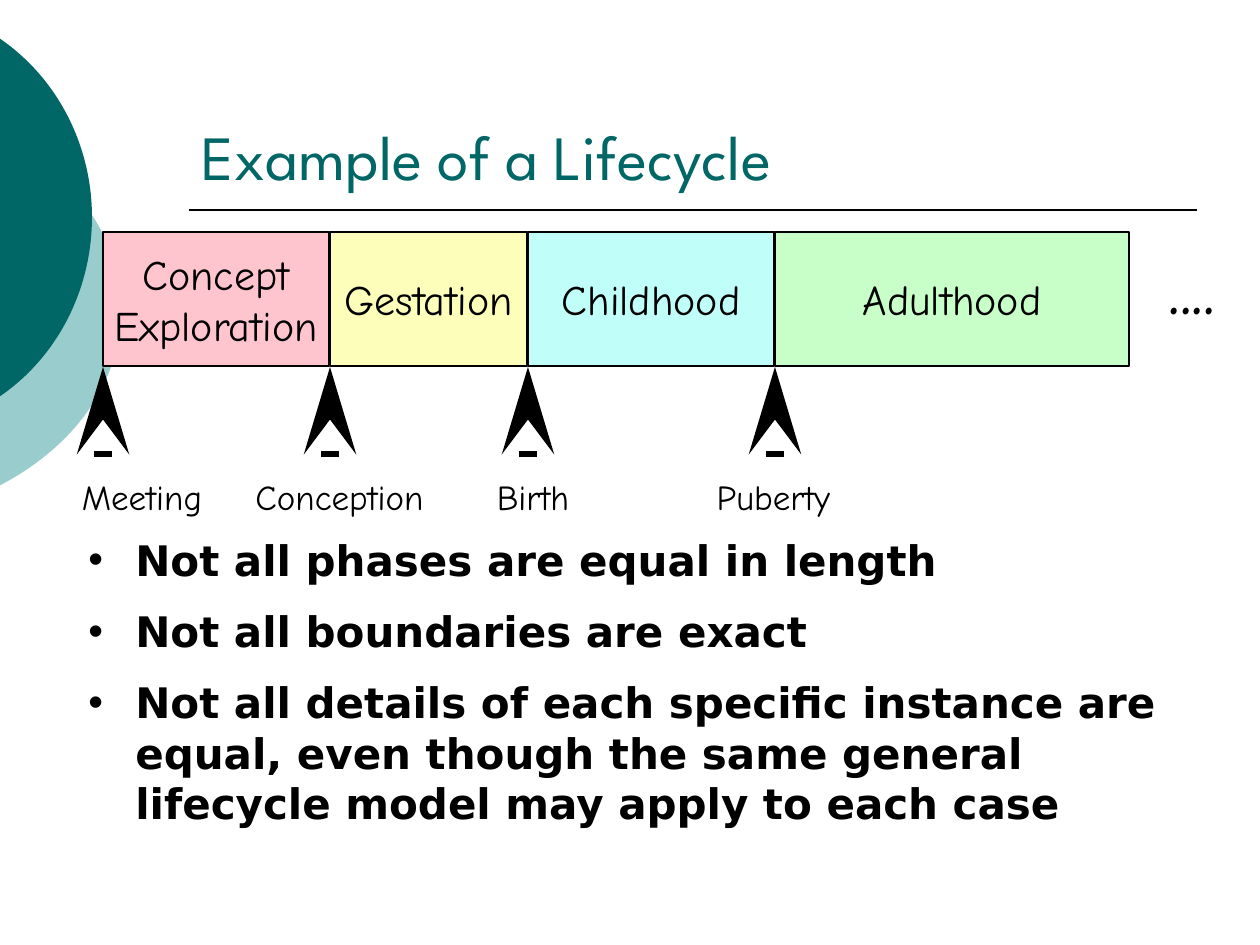
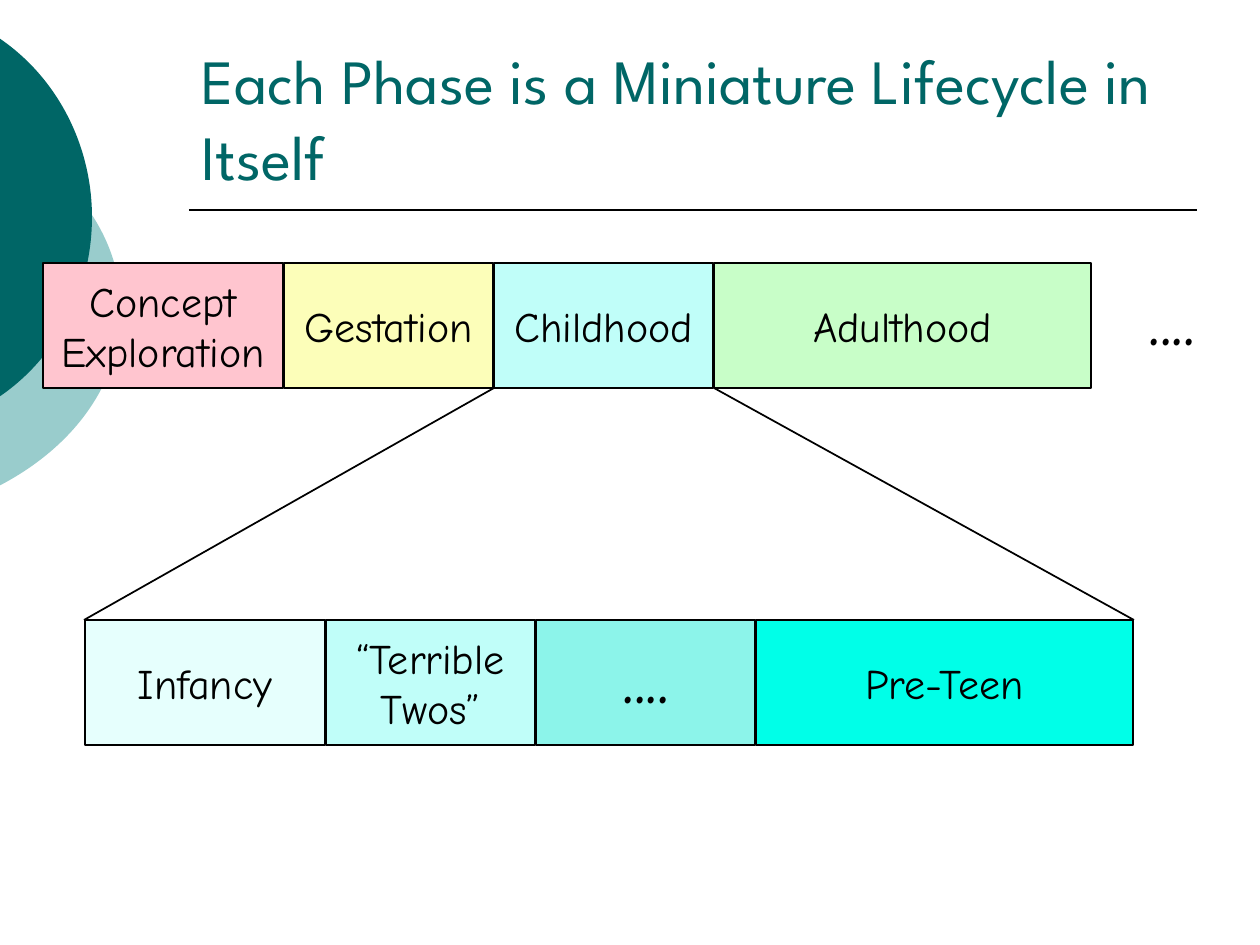
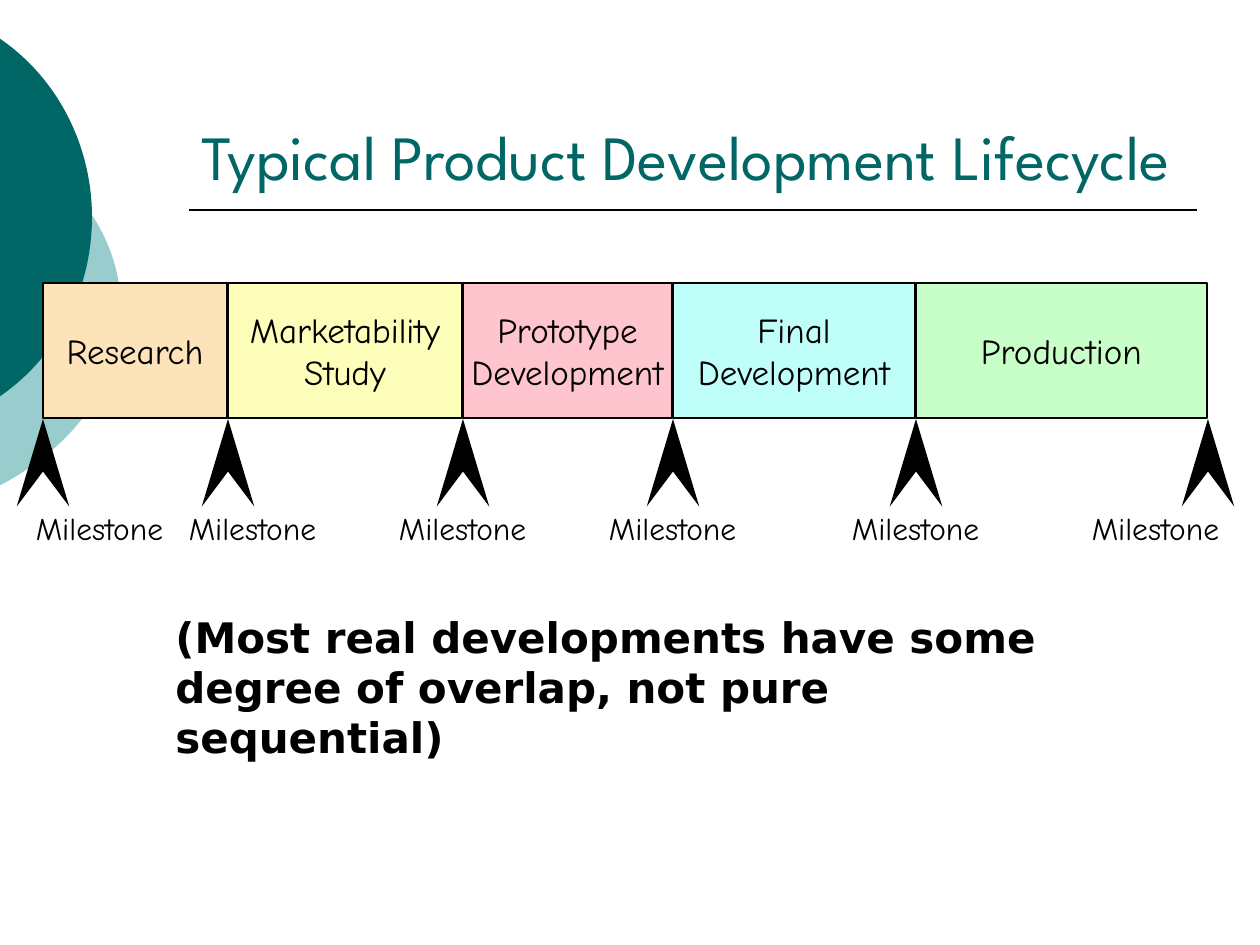
from lxml.etree import SubElement as Sub
from pptx import Presentation
from pptx.dml.color import RGBColor
from pptx.enum.shapes import MSO_CONNECTOR as Wire, MSO_SHAPE as Form
from pptx.enum.text import MSO_ANCHOR as Anchor, PP_ALIGN as Align
from pptx.oxml.ns import qn
from pptx.util import Pt

PX = 7257
BLACK, TEAL, MIST = "000000", "006666", "99CCCC"
PINK, CREAM, AQUA, MINT, PEACH = "FFC5CF", "FCFEB9", "C0FEF9", "C8FEC8", "FDE3BA"
HAND, HEAD, BODY = "Comic Neue", "League Spartan", "DejaVu Sans"
hue = RGBColor.from_string


def write(page, spot, text, size=24, face=HAND, color=BLACK, bold=False,
          align=Align.CENTER, anchor=Anchor.TOP, fill=None, bullet=None):
    place = [n * PX for n in spot]
    if fill:
        box = page.shapes.add_shape(Form.RECTANGLE, *place)
        box.shadow.inherit = False
        box.fill.solid()
        box.fill.fore_color.rgb = hue(fill)
        box.line.color.rgb = hue(BLACK)
        box.line.width = Pt(1)
    else:
        box = page.shapes.add_textbox(*place)
    if not text:
        return
    frame = box.text_frame
    frame.word_wrap = not fill
    frame.vertical_anchor = anchor
    for i, part in enumerate(text.split("\n")):
        para = frame.paragraphs[0] if i == 0 else frame.add_paragraph()
        para.alignment = align
        if bullet:
            props = para._p.get_or_add_pPr()
            props.set("marL", str(47 * PX))
            props.set("indent", str(-47 * PX))
            Sub(props, qn("a:buFont"), typeface="Arial")
            Sub(props, qn("a:buChar"), char=bullet)
            if i:
                para.space_before = Pt(12)
        run = para.add_run()
        run.text = part
        font = run.font
        font.name, font.size, font.bold = face, Pt(size), bold
        font.color.rgb = hue(color)


def link(page, ends, width=1, tip=None):
    wire = page.shapes.add_connector(Wire.STRAIGHT, *[n * PX for n in ends])
    wire.line.color.rgb = hue(BLACK)
    wire.line.width = Pt(width)
    if tip:
        Sub(wire.line._get_or_add_ln(), qn("a:tailEnd"), type=tip, w="med", len="lg")
    Sub(wire._element.spPr, qn("a:effectLst"))


deck = Presentation()
deck.slide_width, deck.slide_height = 1260 * PX, 945 * PX

titles = [
    "Example of a Lifecycle",
    "Each Phase is a Miniature Lifecycle in Itself",
    "Typical Product Development Lifecycle",
]
discs = [
    (MIST, (-446, 95, 567, 431),
     [(-1, 134), (76, 174), (121, 239), (121, 310), (121, 381), (76, 446), (-1, 486)]),
    (TEAL, (-334, 0, 426, 435),
     [(-1, 38), (58, 78), (92, 146), (92, 217), (92, 289), (58, 357), (-1, 397)]),
]
pages = []
for title in titles:
    page = deck.slides.add_slide(deck.slide_layouts[6])
    pages.append(page)
    for color, (left, top, wide, high), dots in discs:
        pen = page.shapes.build_freeform(*dots[0], scale=PX)
        pen.add_line_segments(dots[1:], close=True)
        disc = pen.convert_to_shape()
        disc.left, disc.top = left * PX, top * PX
        disc.width, disc.height = wide * PX, high * PX
        track = disc._element.find(".//" + qn("a:path"))
        for old in list(track):
            track.remove(old)
        track.set("w", str(wide))
        track.set("h", str(high))
        for kind, part in [("moveTo", dots[:1]), ("cubicBezTo", dots[1:4]),
                           ("cubicBezTo", dots[4:]), ("close", [])]:
            step = Sub(track, qn("a:" + kind))
            for x, y in part:
                Sub(step, qn("a:pt"), x=str(x - left), y=str(y - top))
        disc.shadow.inherit = False
        disc.fill.solid()
        disc.fill.fore_color.rgb = hue(color)
        disc.line.fill.background()
    link(page, (189, 210, 1197, 210))
    write(page, (189, 42, 1008, 157), title, size=36, face=HEAD, color=TEAL,
          align=Align.LEFT, anchor=Anchor.BOTTOM)

life, mini, work = pages
phases = [("Concept\nExploration", PINK), ("Gestation", CREAM),
          ("Childhood", AQUA), ("Adulthood", MINT)]
years = [("Infancy", "E6FFFD"), ("“Terrible\nTwos”", AQUA),
         ("", "8CF4EA"), ("Pre-Teen", "00FFE8")]
steps = [("Research", PEACH), ("Marketability\nStudy", CREAM),
         ("Prototype\nDevelopment", PINK), ("Final\nDevelopment", AQUA),
         ("Production", MINT)]
ages = [103, 330, 528, 775, 1130]
spans = [43, 284, 494, 714, 1092]
stages = [43, 228, 463, 673, 916, 1208]
rows = [
    (life, phases, ages, 232, 134, 24),
    (mini, phases, spans, 263, 125, 24),
    (mini, years, [x + 42 for x in spans], 620, 125, 24),
    (work, steps, stages, 283, 135, 20),
]
for page, names, edges, top, high, size in rows:
    for (name, fill), left, right in zip(names, edges, edges[1:]):
        write(page, (left, top, right - left - 1, high), name, size=size,
              anchor=Anchor.MIDDLE, fill=fill)

for page, spot, align in [
    (life, (1120, 231, 108, 113), Align.RIGHT),
    (mini, (1092, 262, 116, 105), Align.RIGHT),
    (mini, (536, 620, 220, 105), Align.CENTER),
]:
    write(page, spot, "....", size=44, align=align)

for start, end in [(494, 84), (714, 1134)]:
    link(mini, (start, 388, end, 620))

events = [("Meeting", 63, 158), ("Conception", 231, 217),
          ("Birth", 449, 168), ("Puberty", 665, 217)]
goals = [("Milestone", left, wide) for left, wide in
         [(0, 199), (158, 189), (347, 231), (557, 231), (800, 231), (1061, 189)]]
for page, marks, edges, tip, base, top, high, size in [
    (life, events, ages, 367, 457, 469, 59, 20),
    (work, goals, stages, 419, 503, 503, 50, 18),
]:
    for (name, left, wide), edge in zip(marks, edges):
        link(page, (edge, base, edge, tip), width=10, tip="stealth")
        write(page, (left, top, wide, high), name, size=size)

facts = [
    "Not all phases are equal in length",
    "Not all boundaries are exact",
    "Not all details of each specific instance are equal, "
    "even though the same general lifecycle model may apply to each case",
]
write(life, (76, 528, 1102, 315), "\n".join(facts), face=BODY, bold=True,
      align=Align.LEFT, bullet="•")
write(work, (163, 605, 958, 115),
      "(Most real developments have some degree of overlap, not pure sequential)",
      face=BODY, bold=True, align=Align.LEFT)

deck.save("out.pptx")
